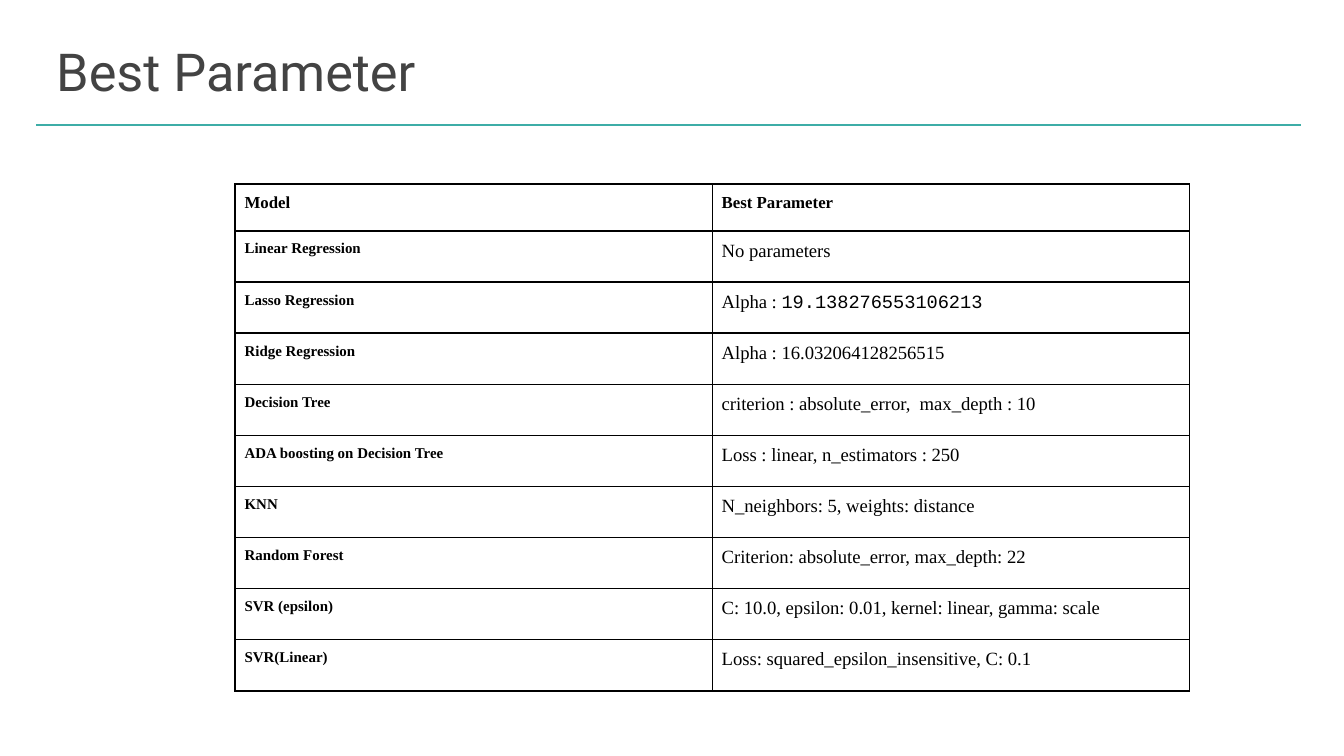
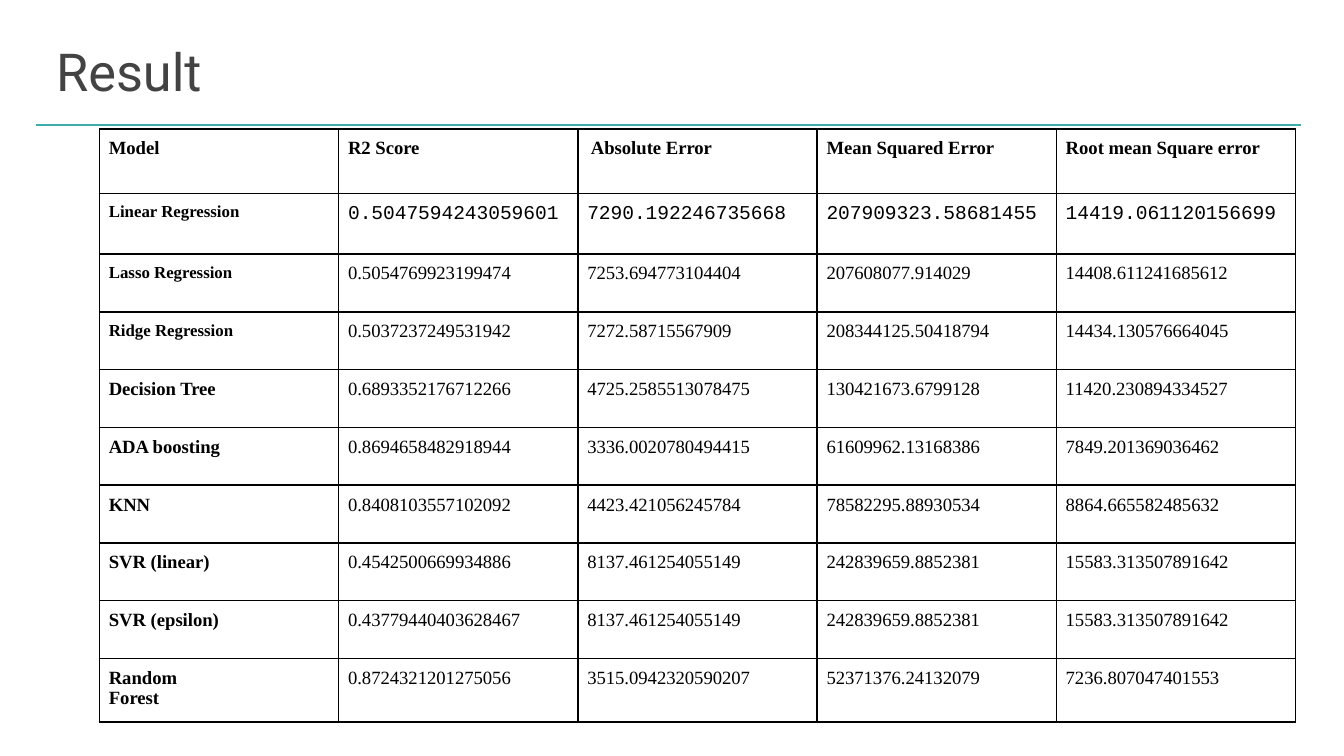
import lxml.etree
import pptx
import pptx.dml.color
import pptx.enum.shapes
import pptx.enum.text
import pptx.oxml
import pptx.oxml.ns
import pptx.util

# Content: text between backticks is set in the code font, a line break starts a paragraph
PARAMETERS = [
    ("Model", "Best Parameter"),
    ("Linear Regression", "No parameters"),
    ("Lasso Regression", "Alpha : `19.138276553106213`"),
    ("Ridge Regression", "Alpha : 16.032064128256515"),
    ("Decision Tree", "criterion : absolute_error,  max_depth : 10"),
    ("ADA boosting on Decision Tree", "Loss : linear, n_estimators : 250"),
    ("KNN", "N_neighbors: 5, weights: distance"),
    ("Random Forest", "Criterion: absolute_error, max_depth: 22"),
    ("SVR (epsilon)", "C: 10.0, epsilon: 0.01, kernel: linear, gamma: scale"),
    ("SVR(Linear)", "Loss: squared_epsilon_insensitive, C: 0.1"),
]
RESULTS = [
    ("Model", "R2 Score", " Absolute Error", "Mean Squared Error", "Root mean Square error"),
    ("Linear Regression", "`0.5047594243059601`", "`7290.192246735668`",
     "`207909323.58681455`", "`14419.061120156699`"),
    ("Lasso Regression", "0.5054769923199474", "7253.694773104404",
     "207608077.914029", "14408.611241685612"),
    ("Ridge Regression", "0.5037237249531942", "7272.58715567909",
     "208344125.50418794", "14434.130576664045"),
    ("Decision Tree", "0.6893352176712266", "4725.2585513078475",
     "130421673.6799128", "11420.230894334527"),
    ("ADA boosting", "0.8694658482918944", "3336.0020780494415",
     "61609962.13168386", "7849.201369036462"),
    ("KNN", "0.8408103557102092", "4423.421056245784",
     "78582295.88930534", "8864.665582485632"),
    ("SVR (linear)", "0.4542500669934886", "8137.461254055149",
     "242839659.8852381", "15583.313507891642"),
    ("SVR (epsilon)", "0.43779440403628467", "8137.461254055149",
     "242839659.8852381", "15583.313507891642"),
    ("Random\nForest", "0.8724321201275056", "3515.0942320590207",
     "52371376.24132079", "7236.807047401553"),
]
SLIDES = [
    {"title": "Best Parameter", "rows": PARAMETERS, "corner": (1.75, 1.37), "column": 3.55,
     "heights": [0.35] + [0.38] * 9, "header": 9, "labels": [8] * 9, "code": 10},
    {"title": "Result", "rows": RESULTS, "corner": (0.74, 0.96), "column": 1.78,
     "heights": [0.48, 0.45] + [0.43] * 8, "header": 10,
     "labels": [9] * 3 + [10] * 6, "code": 10.5},
]

# Shared style
COLORS = {"title": "434343", "rule": "3EADA7", "ink": "000000", "highlight": "FFFFFF"}
FONTS = {"title": "Roboto", "body": "Times New Roman", "code": "Courier New"}
WIDTH = 10
HEIGHT = WIDTH * 9 / 16
VALUE_SIZE = 10
inch = pptx.util.Inches


def add_span(para, text, font, size, color, bold=False):
    span = para.add_run()
    span.text = text
    span.font.name = FONTS[font]
    span.font.size = pptx.util.Pt(size)
    span.font.bold = bold
    span.font.color.rgb = pptx.dml.color.RGBColor.from_string(COLORS[color])
    if font == "code":
        fill = span._r.rPr.find(pptx.oxml.ns.qn("a:solidFill"))
        fill.addnext(pptx.oxml.parse_xml(
            f'<a:highlight {pptx.oxml.ns.nsdecls("a")}>'
            f'<a:srgbClr val="{COLORS["highlight"]}"/></a:highlight>'))


def set_margins(holder, margin):
    holder.margin_left = holder.margin_right = inch(margin)
    holder.margin_top = holder.margin_bottom = inch(margin)


def add_heading(page, title):
    # Rule under the title
    rule = page.shapes.add_connector(pptx.enum.shapes.MSO_CONNECTOR.STRAIGHT,
                                     inch(0.27), inch(0.93), inch(9.68), inch(0.93))
    rule.line.color.rgb = pptx.dml.color.RGBColor.from_string(COLORS["rule"])
    rule.line.width = pptx.util.Pt(0.75)
    lxml.etree.SubElement(rule._element.spPr, pptx.oxml.ns.qn("a:effectLst"))
    # Title
    box = page.shapes.add_textbox(inch(0.32), inch(0.19), inch(9.32), inch(0.63))
    frame = box.text_frame
    frame.word_wrap = True
    frame.vertical_anchor = pptx.enum.text.MSO_ANCHOR.TOP
    set_margins(frame, 0.1)
    add_span(frame.paragraphs[0], title, "title", 28, "title")


def add_borders(cell):
    properties = cell._tc.get_or_add_tcPr()
    for index, side in enumerate(("lnL", "lnR", "lnT", "lnB")):
        properties.insert(index, pptx.oxml.parse_xml(
            f'<a:{side} {pptx.oxml.ns.nsdecls("a")} w="{pptx.util.Pt(1)}"><a:solidFill>'
            f'<a:srgbClr val="{COLORS["ink"]}"/></a:solidFill></a:{side}>'))


def fill_cell(cell, text, size, code_size, bold):
    cell.fill.background()
    add_borders(cell)
    set_margins(cell, 0.07)
    frame = cell.text_frame
    for number, line in enumerate(text.split("\n")):
        para = frame.add_paragraph() if number else frame.paragraphs[0]
        for index, part in enumerate(line.split("`")):
            code = index % 2 == 1
            if part:
                add_span(para, part, "code" if code else "body",
                         code_size if code else size, "ink", bold)


def add_grid(page, content):
    rows, heights = content["rows"], content["heights"]
    columns = len(rows[0])
    left, top = content["corner"]
    table = page.shapes.add_table(len(rows), columns, inch(left), inch(top),
                                  inch(columns * content["column"]),
                                  inch(sum(heights))).table
    table.first_row = table.horz_banding = False
    for column in table.columns:
        column.width = inch(content["column"])
    for r, (row, height) in enumerate(zip(rows, heights)):
        table.rows[r].height = inch(height)
        for c, text in enumerate(row):
            if r == 0:
                size = content["header"]
            else:
                size = VALUE_SIZE if c else content["labels"][r - 1]
            fill_cell(table.cell(r, c), text, size, content["code"], r == 0 or c == 0)


def main():
    deck = pptx.Presentation()
    deck.slide_width, deck.slide_height = inch(WIDTH), inch(HEIGHT)
    for content in SLIDES:
        page = deck.slides.add_slide(deck.slide_layouts[6])
        add_heading(page, content["title"])
        add_grid(page, content)
    deck.save("out.pptx")


if __name__ == "__main__":
    main()
